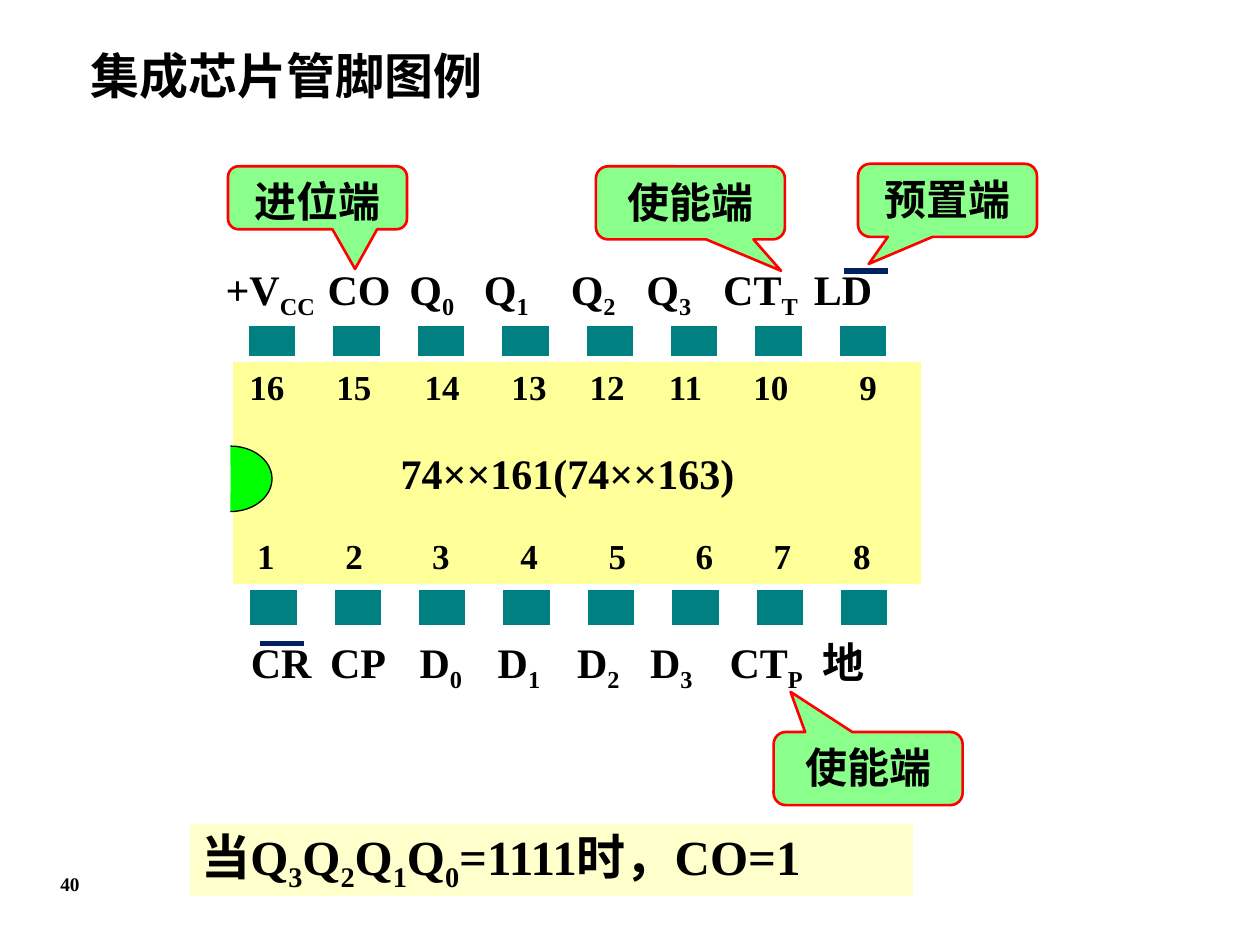
import pptx
import pptx.util
import pptx.dml.color
import pptx.enum.shapes
import pptx.enum.text
import pptx.oxml
import pptx.oxml.ns

Inches = pptx.util.Inches
Pt = pptx.util.Pt
SHAPE = pptx.enum.shapes.MSO_SHAPE
ALIGN = pptx.enum.text.PP_ALIGN
ANCHOR = pptx.enum.text.MSO_ANCHOR

FONT = "Times New Roman"
COLOURS = {
    "text": "000000",
    "paper": "FFFFFF",
    "callout": "8BFF8B",
    "callout line": "FF0000",
    "note": "FFFFCC",
    "chip": "FFFF99",
    "pin": "008080",
    "notch": "00FF00",
    "overline": "002060",
}


def colour(name):
    return pptx.dml.color.RGBColor.from_string(COLOURS[name])


def write(shape, text, size, align=ALIGN.LEFT, anchor=ANCHOR.TOP, wrap=True):
    """Fill a shape with one paragraph; text between bars is subscript."""
    frame = shape.text_frame
    frame.word_wrap = wrap
    frame.vertical_anchor = anchor
    para = frame.paragraphs[0]
    para.alignment = align
    for index, part in enumerate(text.split("|")):
        if not part:
            continue
        span = para.add_run()
        span.text = part
        span.font.name = FONT
        span.font.size = Pt(size)
        span.font.bold = True
        span.font.color.rgb = colour("text")
        if index % 2:
            span.font._element.set("baseline", "-25000")
    return para


def add_filled(page, kind, box, fill, line, width):
    shape = page.shapes.add_shape(kind, *map(Inches, box))
    shape.shadow.inherit = False
    shape.fill.solid()
    shape.fill.fore_color.rgb = colour(fill)
    shape.line.color.rgb = colour(line)
    shape.line.width = Pt(width)
    return shape


def add_text(page, box, text, size, **options):
    return write(page.shapes.add_textbox(*map(Inches, box)), text, size, **options)


def add_callout(page, box, text, tip):
    """Tip is the pointer's offset from the centre, as shares of the box."""
    shape = add_filled(page, SHAPE.ROUNDED_RECTANGULAR_CALLOUT, box,
                       "callout", "callout line", 1.5)
    shape.adjustments[0], shape.adjustments[1] = tip
    write(shape, text, 24, align=ALIGN.CENTER)


def add_pin_row(page, box, count=8, pitch=0.67):
    """Box is the first pin; the others follow at an equal pitch."""
    left, top, width, height = box
    for index in range(count):
        add_filled(page, SHAPE.RECTANGLE, (left + index * pitch, top, width, height),
                   "pin", "paper", 2.25)


def add_label_row(page, box, labels, starts, size):
    """One line of labels, each set at its own tab stop."""
    shape = page.shapes.add_textbox(*map(Inches, box))
    shape.text_frame.margin_left = Inches(starts[0] - box[0])
    para = write(shape, "\t".join(labels), size, anchor=ANCHOR.MIDDLE)
    properties = para._p.get_or_add_pPr()
    tabs = pptx.oxml.parse_xml(f"<a:tabLst {pptx.oxml.ns.nsdecls('a')}/>")
    for start in starts[1:]:
        tab = tabs.makeelement(pptx.oxml.ns.qn("a:tab"), {
            "pos": str(Inches(start - starts[0])), "algn": "l"})
        tabs.append(tab)
    properties.append(tabs)


def add_overline(page, left, top, length=0.35):
    line = page.shapes.add_connector(
        pptx.enum.shapes.MSO_CONNECTOR.STRAIGHT,
        Inches(left), Inches(top), Inches(left + length), Inches(top))
    line.line.color.rgb = colour("overline")
    line.line.width = Pt(3)
    line._element.spPr.append(
        pptx.oxml.parse_xml(f"<a:effectLst {pptx.oxml.ns.nsdecls('a')}/>"))


def add_chip(page, box):
    left, top, width, height = box
    bottom = top + height
    add_pin_row(page, (left + 0.14, bottom, 0.4, 0.32))
    add_pin_row(page, (left + 0.13, top - 0.28, 0.4, 0.28))

    add_label_row(page, (left + 0.06, bottom + 0.36, 5.89, 0.51),
                  ["CR", "CP", "D|0|", "D|1|", "D|2|", "D|3|", "CT|P|", "地"],
                  [1.99, 2.62, 3.33, 3.95, 4.58, 5.16, 5.79, 6.53], 24)
    add_label_row(page, (left - 0.19, top - 0.79, 5.67, 0.51),
                  ["+V|CC|", "CO", "Q|0|", "Q|1|", "Q|2|", "Q|3|", "CT|T|", "LD"],
                  [1.79, 2.6, 3.25, 3.84, 4.53, 5.13, 5.74, 6.46], 24)

    body = add_filled(page, SHAPE.RECTANGLE, box, "chip", "paper", 3)
    body.text_frame.margin_right = Inches(0.25)
    write(body, "74××161(74××163)", 24, align=ALIGN.CENTER, anchor=ANCHOR.MIDDLE)

    add_label_row(page, (left + 0.05, top, 5.24, 0.44),
                  [str(number) for number in range(16, 8, -1)],
                  [1.98, 2.67, 3.37, 4.06, 4.68, 5.31, 5.98, 6.82], 20)
    add_label_row(page, (left + 0.11, bottom - 0.47, 5.11, 0.44),
                  [str(number) for number in range(1, 9)],
                  [2.04, 2.74, 3.43, 4.13, 4.83, 5.52, 6.14, 6.77], 20)

    notch = add_filled(page, SHAPE.ARC, (left - 0.33, top + 0.69, 0.66, 0.52),
                       "notch", "text", 0.75)
    # Angles run from 270 to 90 degrees, in units of 100000/60000 degree
    notch.adjustments[0], notch.adjustments[1] = 162, 54

    add_overline(page, left + 0.23, bottom + 0.45)
    add_overline(page, left + 4.87, top - 0.7)


def add_note(page, box):
    shape = add_filled(page, SHAPE.RECTANGLE, box, "note", "paper", 1.5)
    write(shape, "当Q|3|Q|2|Q|1|Q|0|=1111时，CO=1", 28, anchor=ANCHOR.MIDDLE)


def main():
    deck = pptx.Presentation()
    deck.slide_width, deck.slide_height = Inches(10), Inches(7.5)
    page = deck.slides.add_slide(deck.slide_layouts[6])

    add_text(page, (0.06, 6.87, 0.99, 0.37), "40", 11, align=ALIGN.CENTER)
    add_text(page, (0.62, 0.31, 3.39, 0.55), "集成芯片管脚图例", 28, wrap=False)
    for box, text, tip in [
        ((1.81, 1.32, 1.42, 0.5), "进位端", (0.21, 1.13)),
        ((6.81, 1.3, 1.42, 0.58), "预置端", (-0.44, 0.87)),
        ((4.73, 1.32, 1.5, 0.58), "使能端", (0.48, 0.93)),
        ((6.14, 5.81, 1.5, 0.58), "使能端", (-0.41, -1.05)),
    ]:
        add_callout(page, box, text, tip)
    add_note(page, (1.5, 6.53, 5.76, 0.59))
    add_chip(page, (1.83, 2.85, 5.5, 1.81))
    deck.save("out.pptx")


if __name__ == "__main__":
    main()
